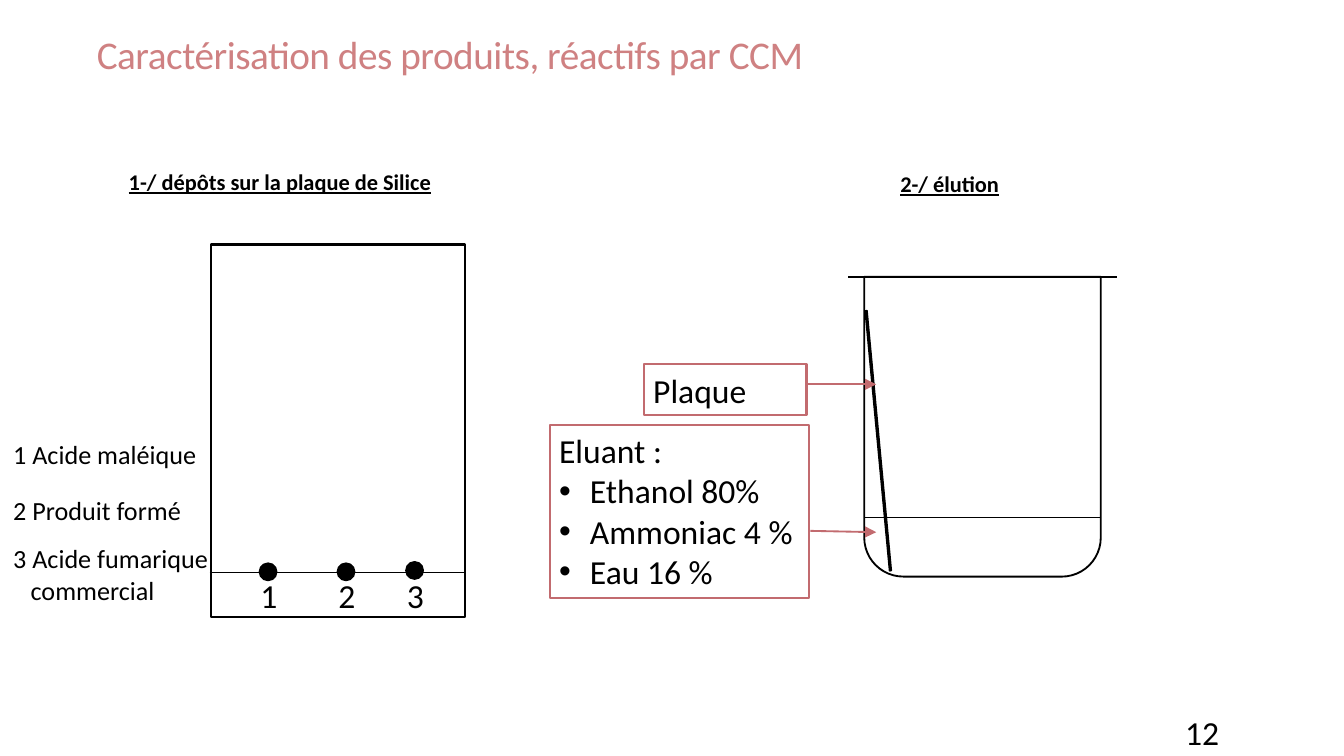
from lxml import etree
from pptx import Presentation
from pptx.dml.color import RGBColor
from pptx.enum.shapes import MSO_CONNECTOR, MSO_SHAPE
from pptx.enum.text import MSO_ANCHOR, MSO_AUTO_SIZE, PP_ALIGN
from pptx.oxml.ns import qn
from pptx.util import Inches, Pt

RECT = MSO_SHAPE.RECTANGLE
ROUND = MSO_SHAPE.ROUND_2_SAME_RECTANGLE
SLANT = MSO_SHAPE.PARALLELOGRAM
OVAL = MSO_SHAPE.OVAL
LINE = MSO_CONNECTOR.STRAIGHT
LEFT = PP_ALIGN.LEFT
TOP, BOTTOM = MSO_ANCHOR.TOP, MSO_ANCHOR.BOTTOM
FIT, FIXED = MSO_AUTO_SIZE.SHAPE_TO_FIT_TEXT, MSO_AUTO_SIZE.NONE

BLACK = RGBColor(0x00, 0x00, 0x00)
WHITE = RGBColor(0xFF, 0xFF, 0xFF)
GREY = RGBColor(0xA6, 0xA6, 0xA6)
ROSE = RGBColor(0xC2, 0x6B, 0x6F)
PINK = RGBColor(0xCF, 0x81, 0x82)

deck = Presentation()
deck.slide_width = Inches(10)
deck.slide_height = deck.slide_width * 9 // 16
slide = deck.slides.add_slide(deck.slide_layouts[5])
shapes = slide.shapes
CELL = deck.slide_width / 100


def grid(*cells):
    return [round(cell * CELL) for cell in cells]


def write(frame, lines, size, color=BLACK, bold=None, mark=None, indent=0):
    for row, line in enumerate(lines):
        para = frame.paragraphs[0] if row == 0 else frame.add_paragraph()
        para.text = line
        para.alignment = LEFT
        if row and indent:
            props = para._p.get_or_add_pPr()
            props.set("marL", str(grid(indent)[0]))
            if mark:
                props.set("indent", str(-grid(indent)[0]))
                etree.SubElement(props, qn("a:buFont")).set("typeface", "Arial")
                etree.SubElement(props, qn("a:buChar")).set("char", mark)
        font = para.font
        font.name, font.size, font.color.rgb = "Calibri", Pt(size), color
        font.bold = font.underline = bold


title = shapes.title
title.left, title.top, title.width, title.height = grid(6.2, 1.3, 82.5, 5)
frame = title.text_frame
frame.auto_size, frame.vertical_anchor = FIXED, BOTTOM
write(frame, ["Caractérisation des produits, réactifs par CCM"], 21, PINK)
frame.paragraphs[0].line_spacing = 0.85
frame.paragraphs[0].runs[0].font._element.set("spc", "-25")

spots = [(19.3, 41.9), (25.1, 41.9), (30.2, 41.8)]
forms = [
    (ROUND, (64.3, 20.6, 17.6, 22.3), None, BLACK, 1, 180, 0.165, []),
    (SLANT, (65.1, 23.1, 0.5, 19.4), GREY, BLACK, 1, 353.5, 0.779, []),
    (RECT, (40.9, 31.6, 19.3, 12.9), WHITE, ROSE, 1.25, 0, None,
     ["Eluant :", "Ethanol 80%", "Ammoniac 4 %", "Eau 16 %"]),
    (RECT, (47.9, 27.1, 12.1, 3.8), WHITE, ROSE, 1.25, 0, None, ["Plaque"]),
    (RECT, (15.7, 18.2, 18.9, 27.7), WHITE, BLACK, 1.25, 0, None, []),
]
forms += [(OVAL, (x, y, 1.3, 1.3), BLACK, BLACK, 0.75, 0, None, []) for x, y in spots]
for kind, place, fill, edge, width, turn, bend, lines in forms:
    form = shapes.add_shape(kind, *grid(*place))
    form.shadow.inherit = False
    form.rotation = turn
    if bend:
        form.adjustments[0] = bend
    if fill is None:
        form.fill.background()
    else:
        form.fill.solid()
        form.fill.fore_color.rgb = fill
    form.line.color.rgb, form.line.width = edge, Pt(width)
    if lines:
        frame = form.text_frame
        frame.word_wrap, frame.vertical_anchor = True, TOP
        frame.margin_left, frame.margin_right = grid(0.7, 0.7)
        frame.margin_top, frame.margin_bottom = grid(0.4, 0.4)
        write(frame, lines, 18, mark="•", indent=2.3)

for ends, color, width, arrow in [
    ((64.3, 38.5, 81.9, 38.5), BLACK, 0.75, False),
    ((60.3, 39.5, 65.2, 39.6), ROSE, 1, True),
    ((60, 28.6, 65.2, 28.6), ROSE, 1, True),
    ((15.6, 42.6, 34.5, 42.6), BLACK, 1, False),
    ((63.1, 20.6, 83.1, 20.6), BLACK, 1.25, False),
]:
    rule = shapes.add_connector(LINE, *grid(*ends))
    rule.line.color.rgb, rule.line.width = color, Pt(width)
    if arrow:
        etree.SubElement(rule.line._get_or_add_ln(), qn("a:tailEnd")).set("type", "triangle")
    etree.SubElement(rule._element.spPr, qn("a:effectLst"))

notes = [
    ((8.6, 12, 31, 3), ["1-/ dépôts sur la plaque de Silice"], 12, True),
    ((66, 12.2, 9.5, 3), ["2-/ élution"], 12, True),
    ((0, 32.1, 15.8, 3.4), ["1 Acide maléique"], 14, None),
    ((0, 36.3, 15.1, 3.4), ["2 Produit formé"], 14, None),
    ((0, 39.9, 16.6, 5.7), ["3 Acide fumarique", "commercial"], 14, None),
    ((87.2, 52.5, 5, 4), ["12"], 18, None),
]
for index, (x, y) in enumerate(spots, 1):
    notes.append(((x - 0.9, 42.3, 3.3, 4), [str(index)], 18, None))
for place, lines, size, bold in notes:
    frame = shapes.add_textbox(*grid(*place)).text_frame
    frame.word_wrap, frame.auto_size = False, FIT
    write(frame, lines, size, bold=bold, indent=1.3)

deck.save("out.pptx")
